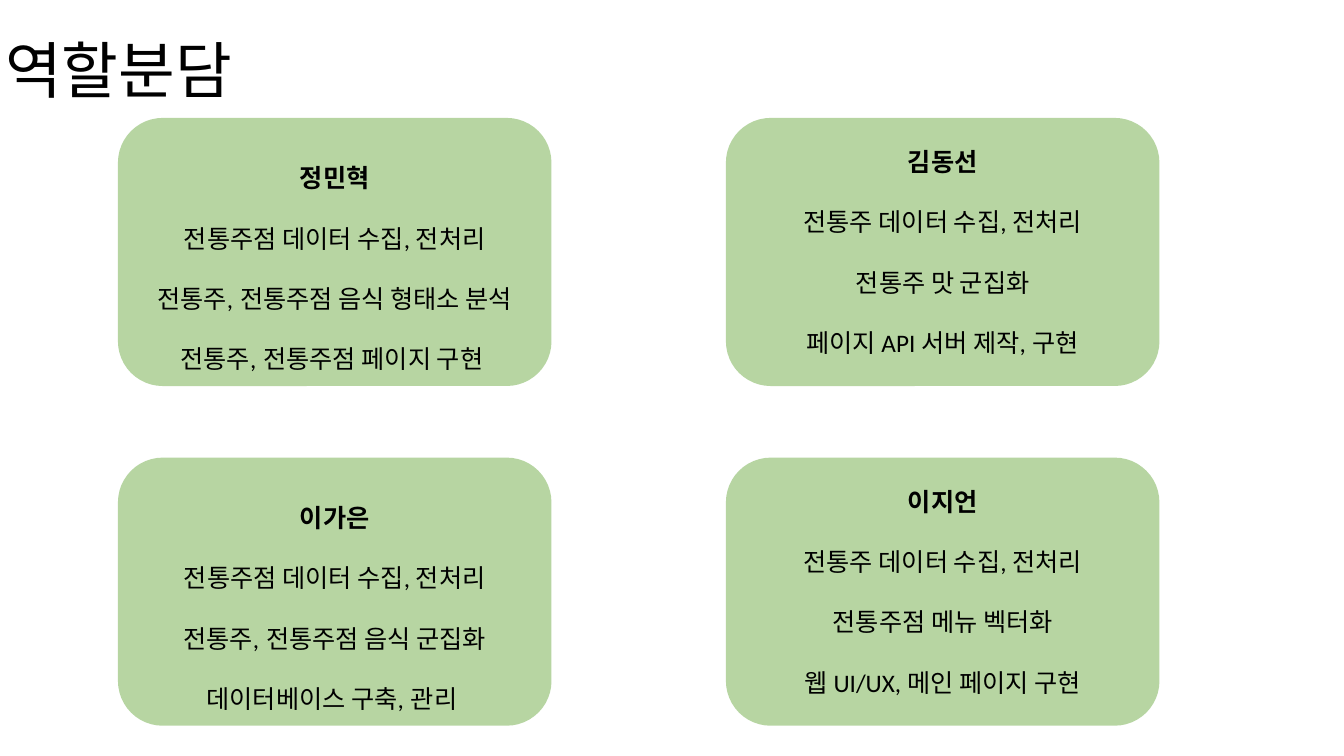
from itertools import cycle

from lxml import etree
from pptx import Presentation
from pptx.dml.color import RGBColor
from pptx.enum.shapes import MSO_SHAPE as Shape
from pptx.enum.text import MSO_ANCHOR as Anchor, PP_ALIGN as Align
from pptx.oxml.ns import qn
from pptx.util import Inches, Pt

# Content: the parts of each task alternate between Korean and Latin type
TITLE = "역할분담"
MEMBERS = [
    ("정민혁", [
        ("전통주점 데이터 수집", ", ", "전처리"),
        ("전통주", ",", " 전통주점 음식 형태소 분석"),
        ("전통주", ",", " 전통주점 페이지 구현 "),
    ]),
    ("김동선", [
        ("전통주 데이터 수집", ", ", "전처리"),
        ("전통주 맛 군집화",),
        ("페이지 ", "API ", "서버 제작", ",", " 구현"),
    ]),
    ("이가은", [
        ("전통주점 데이터 수집", ", ", "전처리"),
        ("전통주", ",", " 전통주점 음식 군집화"),
        ("데이터베이스 구축", ",", " 관리 "),
    ]),
    ("이지언", [
        ("전통주 데이터 수집", ", ", "전처리"),
        ("전통주점 메뉴 벡터화",),
        ("웹 ", "UI/UX, ", "메인 페이지 구현"),
    ]),
]

# Style
COLORS = {"card": "70AD47", "text": "000000"}
FONTS = ("Arial", "Calibri")
CARD_OPACITY = 50
LINE = Pt(21.6)
INSET = 0.05

# Card grid, in inches
CARD_LEFTS, CARD_TOPS = (1.17, 7.2), (1.17, 4.54)
CARD_WIDTH, CARD_HEIGHT = 4.3, 2.66
TEXT_WIDTH = 3.94
TEXT_HEIGHTS = (2.75, 2.37)
TOP_INSETS = (0.37, INSET)  # names in the left column sit lower


def color(name):
    return RGBColor.from_string(COLORS[name])


def add_text_box(shapes, left, top, width, height, top_inset=INSET):
    box = shapes.add_textbox(*map(Inches, (left, top, width, height)))
    frame = box.text_frame
    frame.word_wrap = True
    frame.vertical_anchor = Anchor.MIDDLE
    frame.margin_left = frame.margin_right = frame.margin_bottom = Inches(INSET)
    frame.margin_top = Inches(top_inset)
    return frame


def add_spans(para, parts, size, bold=False):
    for text, font in zip(parts, cycle(FONTS)):
        span = para.add_run()
        span.text = text
        span.font.name = font
        span.font.size = Pt(size)
        span.font.bold = bold
        span.font.color.rgb = color("text")


def add_card(page, left, top, column, name, tasks):
    group = page.shapes.add_group_shape()
    card = group.shapes.add_shape(
        Shape.ROUNDED_RECTANGLE,
        *map(Inches, (left, top, CARD_WIDTH, CARD_HEIGHT)))
    card.adjustments[0] = 0.167
    card.shadow.inherit = False
    card.line.fill.background()
    card.fill.solid()
    card.fill.fore_color.rgb = color("card")
    fill = card.fill._xPr.find(qn("a:solidFill"))[0]
    etree.SubElement(fill, qn("a:alpha"), val=str(CARD_OPACITY * 1000))

    # Text centred over the card
    height = TEXT_HEIGHTS[column]
    frame = add_text_box(
        group.shapes, left + (CARD_WIDTH - TEXT_WIDTH) / 2,
        top + (CARD_HEIGHT - height) / 2, TEXT_WIDTH, height,
        TOP_INSETS[column])
    for index, parts in enumerate([(name,), *tasks]):
        para = frame.add_paragraph() if index else frame.paragraphs[0]
        para.alignment = Align.CENTER
        para.line_spacing = LINE
        if index:
            para.space_before = LINE
        add_spans(para, parts, 18, bold=index == 0)


def main():
    deck = Presentation()
    deck.slide_width, deck.slide_height = Inches(13.33), Inches(7.5)
    page = deck.slides.add_slide(deck.slide_layouts[6])

    # Title
    heading = add_text_box(page.shapes, 0, 0, 11.5, 1.45).paragraphs[0]
    heading.line_spacing = 0.9
    add_spans(heading, (TITLE,), 44)

    # Member cards
    for index, (name, tasks) in enumerate(MEMBERS):
        row, column = divmod(index, len(CARD_LEFTS))
        add_card(page, CARD_LEFTS[column], CARD_TOPS[row], column, name, tasks)

    deck.save("out.pptx")


if __name__ == "__main__":
    main()
